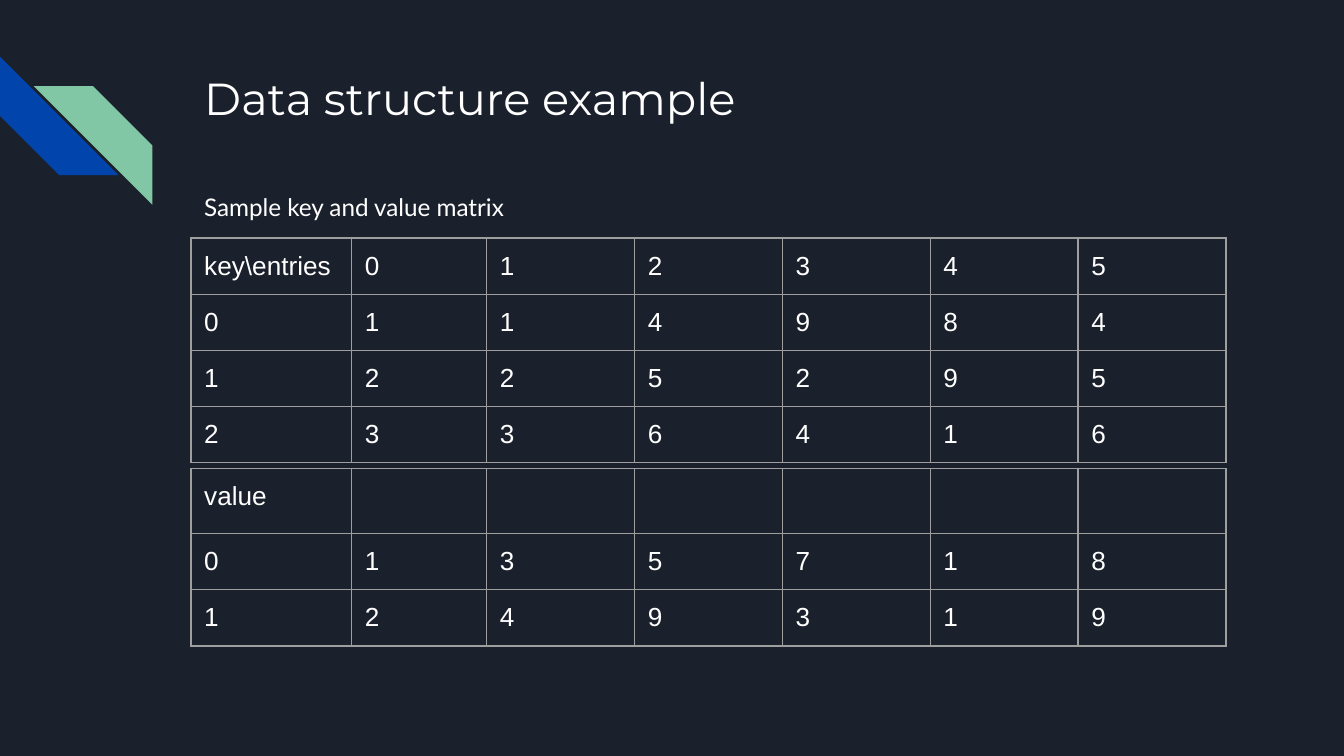
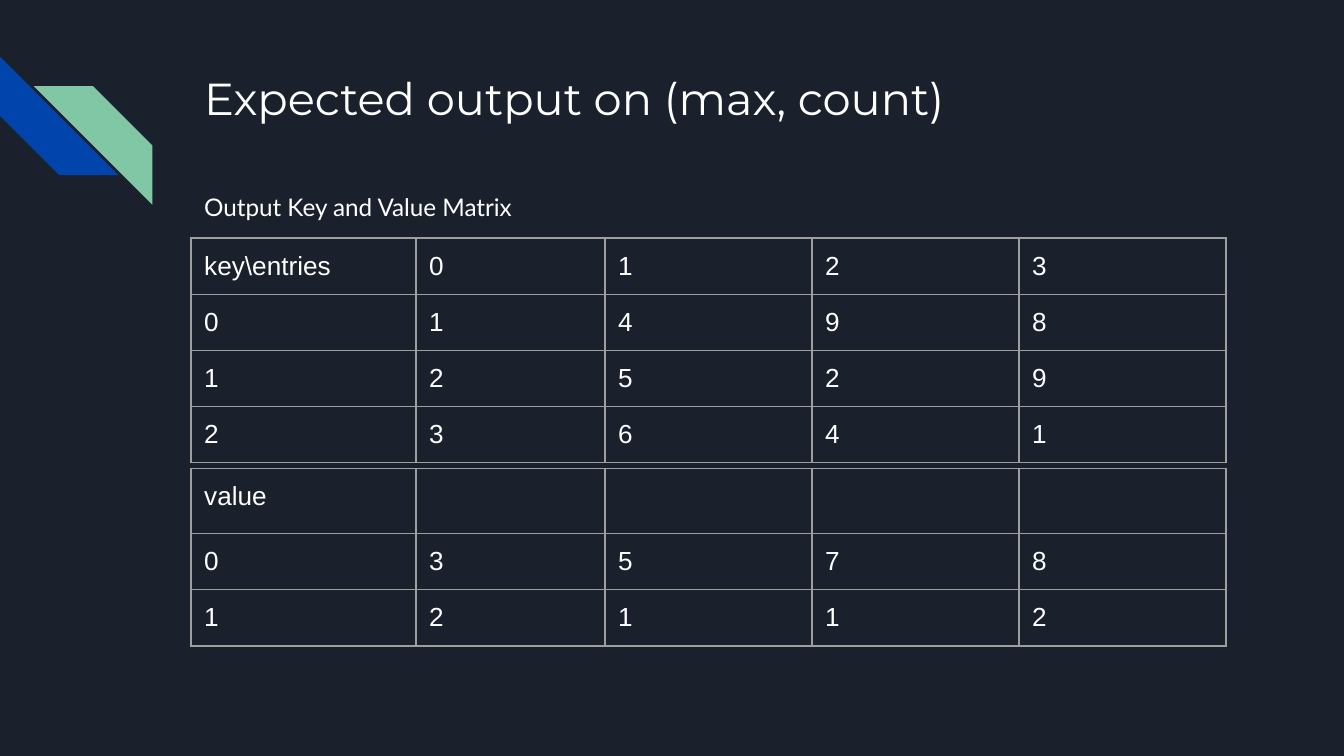
from dataclasses import dataclass

from lxml import etree
from pptx import Presentation
from pptx.dml.color import RGBColor
from pptx.enum import shapes, text
from pptx.oxml.ns import qn
from pptx.util import Cm, Pt

SLIDES = [
    {
        "title": "Data structure example",
        "caption": "Sample key and value matrix",
        "keys": [
            ["key\\entries", 0, 1, 2, 3, 4, 5],
            [0, 1, 1, 4, 9, 8, 4],
            [1, 2, 2, 5, 2, 9, 5],
            [2, 3, 3, 6, 4, 1, 6],
        ],
        "values": [
            ["value", "", "", "", "", "", ""],
            [0, 1, 3, 5, 7, 1, 8],
            [1, 2, 4, 9, 3, 1, 9],
        ],
    },
    {
        "title": "Expected output on (max, count)",
        "caption": "Output Key and Value Matrix",
        "keys": [
            ["key\\entries", 0, 1, 2, 3],
            [0, 1, 4, 9, 8],
            [1, 2, 5, 2, 9],
            [2, 3, 6, 4, 1],
        ],
        "values": [
            ["value", "", "", "", ""],
            [0, 3, 5, 7, 8],
            [1, 2, 1, 1, 2],
        ],
    },
]


@dataclass(frozen=True)
class Theme:
    background: str = "1B212C"
    blue: str = "0145AC"
    green: str = "82C7A5"
    ink: str = "FFFFFF"
    grid: str = "9E9E9E"
    grid_pt: float = 0.75
    title: tuple = ("Montserrat", 24)
    caption: tuple = ("Lato", 13)
    cell: tuple = ("Arial", 14)


THEME = Theme()
LEFT, WIDTH = Cm(3.61), Cm(19.56)
INSET = Cm(0.25)
ROW, VALUE_HEAD = Cm(1.06), Cm(1.23)
KEYS_TOP, VALUES_TOP = Cm(4.5), Cm(8.86)
LABEL_EXTRA = 0.087  # share of a column that the label takes from its neighbour


def style(p, font):
    p.font.name, p.font.size = font[0], Pt(font[1])
    p.font.color.rgb = RGBColor.from_string(THEME.ink)


def set_text(sp, words, font):
    tf = sp.text_frame
    tf.text = words
    tf.word_wrap = True
    tf.auto_size = text.MSO_AUTO_SIZE.NONE
    tf.vertical_anchor = text.MSO_ANCHOR.TOP
    tf.margin_left = tf.margin_right = tf.margin_top = tf.margin_bottom = INSET
    p = tf.paragraphs[0]
    p.alignment = text.PP_ALIGN.LEFT
    style(p, font)
    return p


def add_stripe(s, left, top, color):
    size = Cm(2.24)
    sp = s.shapes.add_shape(shapes.MSO_SHAPE.DIAGONAL_STRIPE, left, top, size, size)
    sp.adjustments[0] = 0.5
    sp.shadow.inherit = False
    sp.fill.solid()
    sp.fill.fore_color.rgb = RGBColor.from_string(color)
    sp.line.fill.background()
    return sp


def move_to_layout(layout, stripes):
    """Place the stripes behind the layout's placeholders, shared by all slides."""
    tree = layout.shapes._spTree
    for i, sp in enumerate(stripes):
        tree.insert(2 + i, sp._element)


def set_borders(cell):
    tc_pr = cell._tc.get_or_add_tcPr()
    for side in ("a:lnL", "a:lnR", "a:lnT", "a:lnB"):
        ln = etree.SubElement(tc_pr, qn(side), w=str(Pt(THEME.grid_pt)))
        fill = etree.SubElement(ln, qn("a:solidFill"))
        etree.SubElement(fill, qn("a:srgbClr"), val=THEME.grid)


def add_matrix(s, rows, top, head_height):
    n = len(rows[0])
    heights = [head_height] + [ROW] * (len(rows) - 1)
    table = s.shapes.add_table(len(rows), n, LEFT, top, WIDTH, sum(heights)).table
    table.first_row = table.horz_banding = False

    shares = [1 + LABEL_EXTRA, 1 - LABEL_EXTRA] + [1] * (n - 2)
    for column, share in zip(table.columns, shares):
        column.width = int(WIDTH / n * share)

    for r, (row, height) in enumerate(zip(rows, heights)):
        table.rows[r].height = height
        for c, value in enumerate(row):
            cell = table.cell(r, c)
            cell.margin_left = cell.margin_right = INSET
            cell.margin_top = cell.margin_bottom = INSET
            set_borders(cell)
            cell.fill.background()
            cell.text = str(value)
            p = cell.text_frame.paragraphs[0]
            style(p, THEME.cell)
            if value == "":
                p._p.get_or_add_endParaRPr().set("sz", str(THEME.cell[1] * 100))


def add_slide(prs, layout, content):
    s = prs.slides.add_slide(layout)
    title = s.shapes.title
    title.left, title.top, title.width, title.height = LEFT, Cm(1.09), WIDTH, Cm(2.54)
    set_text(title, content["title"], THEME.title)

    caption = s.shapes.add_textbox(LEFT, Cm(3.3), WIDTH, Cm(8.08))
    p = set_text(caption, content["caption"], THEME.caption)
    p.line_spacing, p.space_after = 1.15, Pt(16)

    add_matrix(s, content["keys"], KEYS_TOP, ROW)
    add_matrix(s, content["values"], VALUES_TOP, VALUE_HEAD)
    return s


def main():
    prs = Presentation()
    prs.slide_width, prs.slide_height = Cm(25.4), Cm(14.29)
    layout = prs.slide_layouts.get_by_name("Title Only")
    layout.background.fill.solid()
    layout.background.fill.fore_color.rgb = RGBColor.from_string(THEME.background)

    slides = [add_slide(prs, layout, content) for content in SLIDES]

    blue = add_stripe(slides[0], 0, Cm(1.07), THEME.blue)
    blue.rotation = 270
    green = add_stripe(slides[0], Cm(0.64), Cm(1.63), THEME.green)
    green._element.spPr.find(qn("a:xfrm")).set("flipH", "1")
    move_to_layout(layout, [blue, green])

    prs.save("out.pptx")


if __name__ == "__main__":
    main()
